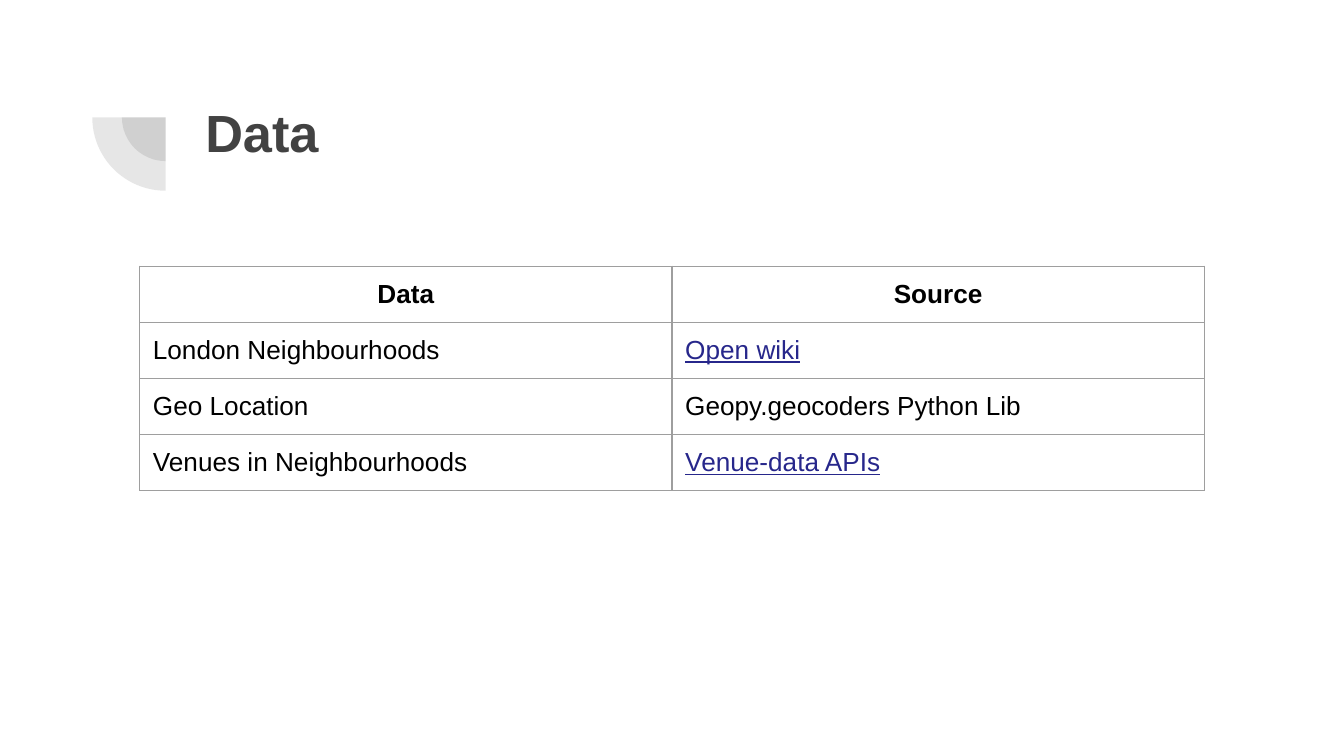
from dataclasses import dataclass

from lxml.etree import SubElement
from pptx import Presentation
from pptx.dml.color import RGBColor
from pptx.enum.shapes import MSO_SHAPE
from pptx.enum.text import MSO_ANCHOR, PP_ALIGN
from pptx.oxml.ns import qn
from pptx.util import Cm, Pt

TITLE = "Data"
HEADER = ("Data", "Source")
ROWS = [
    ("London Neighbourhoods", "Open wiki"),
    ("Geo Location", "Geopy.geocoders Python Lib"),
    ("Venues in Neighbourhoods", "Venue-data APIs"),
]
LINKED = {"Open wiki", "Venue-data APIs"}


@dataclass(frozen=True)
class Theme:
    font: str = "Arial"
    heading: str = "424242"
    text: str = "000000"
    link: str = "27278B"
    border: str = "9E9E9E"
    title_size: int = 28
    table_size: int = 14
    border_width: float = 0.75
    pie_opacity: int = 13


THEME = Theme()
PIE_CENTRE = (3.13, 2.22)
PIE_DIAMETERS = (1.65, 2.77)
TITLE_BOX = (3.63, 1.65, 19.53, 2.77)
TABLE_CORNER = (2.64, 5.03)
COLUMN_WIDTH, ROW_HEIGHT = 10.06, 1.06
INSET = Cm(0.25)


def set_insets(target):
    target.margin_left = target.margin_right = INSET
    target.margin_top = target.margin_bottom = INSET


def style_font(font, size, color, bold=False, underline=False):
    font.name = THEME.font
    font.size = Pt(size)
    font.bold = bold
    font.underline = underline
    font.color.rgb = RGBColor.from_string(color)


def add_quarter_pie(page, diameter):
    left, top = (centre - diameter / 2 for centre in PIE_CENTRE)
    pie = page.shapes.add_shape(
        MSO_SHAPE.PIE, Cm(left), Cm(top), Cm(diameter), Cm(diameter))
    pie.adjustments[0], pie.adjustments[1] = 108, 162
    pie.rotation = 270
    pie.shadow.inherit = False
    pie.line.fill.background()
    pie.fill.solid()
    pie.fill.fore_color.rgb = RGBColor.from_string(THEME.heading)
    color = pie.fill._xPr.find(qn("a:solidFill")).find(qn("a:srgbClr"))
    SubElement(color, qn("a:alpha"), val=str(THEME.pie_opacity * 1000))


def add_title(page):
    title = page.shapes.title
    title.left, title.top, title.width, title.height = map(Cm, TITLE_BOX)
    frame = title.text_frame
    frame.text = TITLE
    frame.vertical_anchor = MSO_ANCHOR.TOP
    set_insets(frame)
    para = frame.paragraphs[0]
    para.alignment = PP_ALIGN.LEFT
    style_font(para.runs[0].font, THEME.title_size, THEME.heading, bold=True)


def add_borders(cell):
    properties = cell._tc.get_or_add_tcPr()
    for side in ("lnL", "lnR", "lnT", "lnB"):
        line = SubElement(properties, qn(f"a:{side}"),
                          w=str(Pt(THEME.border_width)))
        fill = SubElement(line, qn("a:solidFill"))
        SubElement(fill, qn("a:srgbClr"), val=THEME.border)


def fill_cell(cell, text, is_header):
    add_borders(cell)
    cell.fill.background()
    set_insets(cell)
    cell.vertical_anchor = MSO_ANCHOR.TOP
    cell.text_frame.text = text
    para = cell.text_frame.paragraphs[0]
    para.alignment = PP_ALIGN.CENTER if is_header else PP_ALIGN.LEFT
    linked = text in LINKED
    style_font(para.runs[0].font, THEME.table_size,
               THEME.link if linked else THEME.text,
               bold=is_header, underline=linked)


def add_source_table(page):
    content = [HEADER, *ROWS]
    left, top = map(Cm, TABLE_CORNER)
    table = page.shapes.add_table(
        len(content), len(HEADER), left, top,
        Cm(COLUMN_WIDTH * len(HEADER)), Cm(ROW_HEIGHT * len(content))).table
    table.first_row = table.horz_banding = False
    for column in table.columns:
        column.width = Cm(COLUMN_WIDTH)
    for row_index, texts in enumerate(content):
        table.rows[row_index].height = Cm(ROW_HEIGHT)
        for column_index, text in enumerate(texts):
            fill_cell(table.cell(row_index, column_index), text,
                      is_header=row_index == 0)


def main():
    deck = Presentation()
    deck.slide_width, deck.slide_height = Cm(25.4), Cm(14.29)
    page = deck.slides.add_slide(deck.slide_layouts[5])
    for diameter in PIE_DIAMETERS:
        add_quarter_pie(page, diameter)
    add_title(page)
    add_source_table(page)
    deck.save("out.pptx")


if __name__ == "__main__":
    main()
